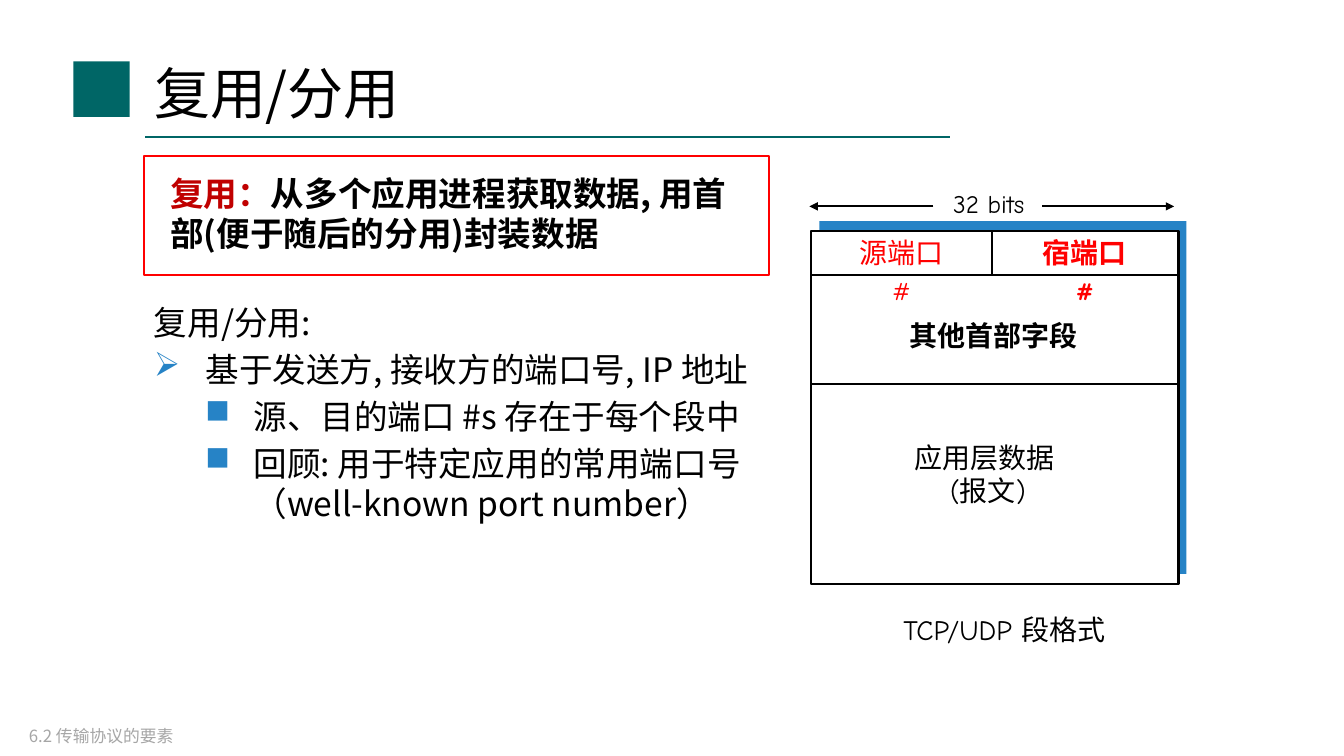
"""Builds the slide on multiplexing and demultiplexing with the TCP/UDP segment format."""
import pptx
import pptx.dml.color
import pptx.enum.shapes
import pptx.enum.text
import pptx.oxml.ns
import pptx.util
from lxml import etree

Cm, Pt = pptx.util.Cm, pptx.util.Pt
ALIGN = pptx.enum.text.PP_ALIGN
ANCHOR = pptx.enum.text.MSO_ANCHOR
SANS, COMIC, TIMES = "Noto Sans CJK SC", "Comic Neue", "Times New Roman"
TEAL, BLUE, RED, BLACK, WHITE = "006666", "2683C6", "FF0000", "000000", "FFFFFF"

TITLE = "复用/分用"
SECTION = "6.2 传输协议的要素"
DEFINITION = [("复用：", "C00000"), ("从多个应用进程获取数据, 用首部(便于随后的分用)封装数据", BLACK)]
POINTS = [
    ("复用/分用:", 0, None),
    ("基于发送方, 接收方的端口号, IP 地址", 0, "➢"),
    ("源、目的端口 #s 存在于每个段中", 1, "■"),
    ("回顾: 用于特定应用的常用端口号（well-known port number）", 1, "■"),
]
POINT_INDENTS = [(1.3, 1.3), (2.51, 1.22)]
PORTS = [("源端口", 22.72, False), ("宿端口", 27.34, True)]
SEGMENT_LABELS = [
    (["32 bits"], (23.6, 4.62, 2.64, 1.02), 18, False),
    (["其他首部字段"], (22.63, 7.9, 4.83, 1.12), 20, True),
    (["应用层数据 ", "(报文)"], (22.78, 10.97, 4.24, 1.96), 20, False),
    (["TCP/UDP 段格式"], (22.38, 15.32, 5.87, 1.09), 20, False),
]
SEGMENT_LEFT, SEGMENT_TOP, SEGMENT_WIDTH, SEGMENT_HEIGHT = 20.45, 5.82, 9.25, 8.89
SEGMENT_RIGHT = SEGMENT_LEFT + SEGMENT_WIDTH
PORT_BOTTOM, HEADER_BOTTOM, PORT_DIVIDER = 6.93, 9.68, 24.99
ARROW_Y = 5.2


def rgb(code):
    return pptx.dml.color.RGBColor.from_string(code)


def add_child(parent, tag, **attributes):
    return etree.SubElement(parent, pptx.oxml.ns.qn(tag), attributes)


def add_run(paragraph, words, size, color=BLACK, font=SANS, bold=False):
    run = paragraph.add_run()
    run.text = words
    run.font.size, run.font.bold, run.font.name = Pt(size), bold, font
    run.font.color.rgb = rgb(color)
    add_child(run.font._element, "a:ea", typeface=SANS)


def add_text_area(box, wrap=True, anchor=ANCHOR.TOP):
    frame = slide.shapes.add_textbox(*map(Cm, box)).text_frame
    frame.word_wrap, frame.vertical_anchor = wrap, anchor
    return frame


def next_paragraph(frame, index, line, align=ALIGN.LEFT):
    paragraph = frame.add_paragraph() if index else frame.paragraphs[0]
    paragraph.line_spacing, paragraph.alignment = Pt(line), align
    return paragraph


def add_rectangle(box, fill=None, outline=None):
    shape = slide.shapes.add_shape(pptx.enum.shapes.MSO_SHAPE.RECTANGLE, *map(Cm, box))
    shape.shadow.inherit = False
    if fill:
        shape.fill.solid()
        shape.fill.fore_color.rgb = rgb(fill)
    else:
        shape.fill.background()
    if outline:
        shape.line.color.rgb, shape.line.width = rgb(outline), Pt(1.5)
    else:
        shape.line.fill.background()


def add_line(ends, color=BLACK, arrow=False):
    line = slide.shapes.add_connector(pptx.enum.shapes.MSO_CONNECTOR.STRAIGHT, *map(Cm, ends))
    line.line.color.rgb, line.line.width = rgb(color), Pt(1.5)
    if arrow:
        add_child(line.line._get_or_add_ln(), "a:tailEnd", type="triangle")
    add_child(line._element.spPr, "a:effectLst")


deck = pptx.Presentation()
deck.slide_width, deck.slide_height = Cm(33.87), Cm(19.05)
slide = deck.slides.add_slide(deck.slide_layouts[5])

title = slide.shapes.title
title.left, title.top, title.width, title.height = map(Cm, (3.63, 1.19, 22.23, 2.26))
title.text_frame.vertical_anchor = ANCHOR.MIDDLE
add_run(next_paragraph(title.text_frame, 0, 48), TITLE, 40)
add_rectangle((1.85, 1.55, 1.42, 1.4), TEAL)
add_line((3.66, 3.45, 23.93, 3.45), TEAL)

points = add_text_area((3.63, 7.48, 15.9, 9.5))
for index, (words, level, bullet) in enumerate(POINTS):
    paragraph = next_paragraph(points, index, 28.8)
    paragraph.level = level
    paragraph.space_before = Pt(4.8 if index else 0)
    margin, hanging = POINT_INDENTS[level]
    properties = paragraph._p.get_or_add_pPr()
    properties.set("marL", str(Cm(margin)))
    properties.set("indent", str(-Cm(hanging)))
    if bullet:
        add_child(add_child(properties, "a:buClr"), "a:srgbClr", val=BLUE)
        add_child(properties, "a:buChar", char=bullet)
    add_run(paragraph, words, 24)

add_rectangle((3.63, 3.94, 15.75, 3), outline=RED)
definition = next_paragraph(add_text_area((4.04, 4.23, 14.83, 2.31)), 0, 28.8)
for words, color in DEFINITION:
    add_run(definition, words, 24, color, bold=True)

add_rectangle((SEGMENT_LEFT + 0.2, SEGMENT_TOP - 0.25, SEGMENT_WIDTH, SEGMENT_HEIGHT), BLUE)
add_rectangle((SEGMENT_LEFT, SEGMENT_TOP, SEGMENT_WIDTH, SEGMENT_HEIGHT), WHITE, BLACK)
for y in (PORT_BOTTOM, HEADER_BOTTOM):
    add_line((SEGMENT_LEFT, y, SEGMENT_RIGHT, y))
add_line((PORT_DIVIDER, PORT_BOTTOM, PORT_DIVIDER, SEGMENT_TOP))
add_line((26.26, ARROW_Y, 29.59, ARROW_Y), arrow=True)
add_line((23.52, ARROW_Y, 20.4, ARROW_Y), arrow=True)

for words, center, bold in PORTS:
    port = add_text_area((center - 1.69, 5.8, 3.38, 1.27))
    port.margin_left = port.margin_right = Cm(0.5)
    paragraph = next_paragraph(port, 0, 25, ALIGN.CENTER)
    add_run(paragraph, words, 20, RED, TIMES, bold)
    add_run(paragraph, " ", 24, BLACK, TIMES, bold)
    add_run(paragraph, "#", 18, RED, COMIC, bold)

for lines, box, size, bold in SEGMENT_LABELS:
    label = add_text_area(box, wrap=False)
    for index, words in enumerate(lines):
        add_run(next_paragraph(label, index, size * 1.2, ALIGN.CENTER), words, size, font=COMIC, bold=bold)

section = add_text_area((0.48, 18.03, 5.16, 1.02), anchor=ANCHOR.MIDDLE)
add_run(next_paragraph(section, 0, 14.4), SECTION, 12, "A6A6A6")

deck.save("out.pptx")
